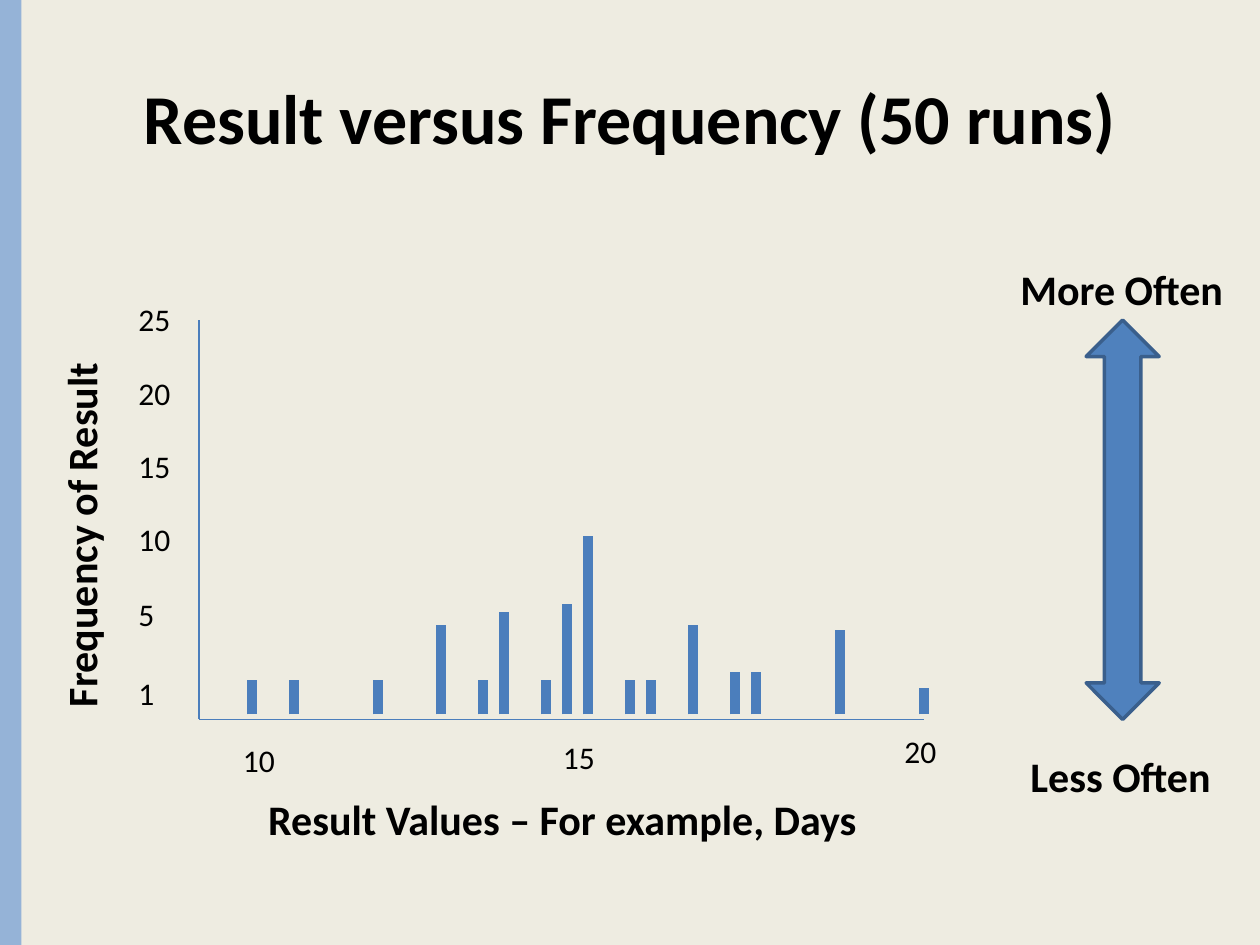
from pptx import Presentation
from pptx.dml.color import RGBColor
from pptx.enum import shapes, text
from pptx.oxml.ns import qn
from pptx.util import Inches, Pt
from lxml import etree

BACKGROUND = RGBColor(0xEE, 0xEC, 0xE1)
STRIPE = RGBColor(0x95, 0xB3, 0xD7)
BAR = RGBColor(0x4B, 0x7E, 0xBC)
ARROW = RGBColor(0x4F, 0x81, 0xBD)
ARROW_EDGE = RGBColor(0x3A, 0x5F, 0x8C)
BLACK = RGBColor(0, 0, 0)


def add_label(slide, words, left, top, width, height, size, bold=False):
    label = slide.shapes.add_textbox(Inches(left), Inches(top), Inches(width), Inches(height))
    label.text_frame.word_wrap = True
    label.text_frame.text = words
    font = label.text_frame.paragraphs[0].runs[0].font
    font.name, font.size, font.bold = "Calibri", Pt(size), bold
    font.color.rgb = BLACK
    return label


def add_line(slide, x1, y1, x2, y2, weight):
    line = slide.shapes.add_connector(
        shapes.MSO_CONNECTOR.STRAIGHT, Inches(x1), Inches(y1), Inches(x2), Inches(y2))
    line.line.color.rgb = BAR
    line.line.width = Pt(weight)
    etree.SubElement(line._element.spPr, qn("a:effectLst"))


prs = Presentation()
prs.slide_width, prs.slide_height = Inches(10), Inches(7.5)
slide = prs.slides.add_slide(prs.slide_layouts[5])
slide.background.fill.solid()
slide.background.fill.fore_color.rgb = BACKGROUND

# Stripe along the left edge
stripe = slide.shapes.add_shape(shapes.MSO_SHAPE.RECTANGLE, 0, 0, Inches(0.17), Inches(7.5))
stripe.shadow.inherit = False
stripe.fill.solid()
stripe.fill.fore_color.rgb = STRIPE
stripe.line.fill.background()

# Title
title = slide.shapes.title
title.left, title.top, title.width, title.height = Inches(0.5), Inches(0.3), Inches(9), Inches(1.25)
title.text_frame.text = "Result versus Frequency (50 runs)"
title.text_frame.vertical_anchor = text.MSO_ANCHOR.MIDDLE
heading = title.text_frame.paragraphs[0]
heading.alignment = text.PP_ALIGN.CENTER
heading_font = heading.runs[0].font
heading_font.name, heading_font.size, heading_font.bold = "Calibri", Pt(40), True
heading_font.color.rgb = BLACK

# Frequency bars: position in sixths of an inch, top of the bar
bar_base = 5.67
bar_tops = {12: 5.4, 14: 5.4, 18: 5.4, 21: 4.96, 23: 5.4, 24: 4.86, 26: 5.4, 27: 4.79,
            28: 4.25, 30: 5.4, 31: 5.4, 33: 4.96, 35: 5.33, 36: 5.33, 40: 5, 44: 5.46}
for sixths, top in bar_tops.items():
    add_line(slide, sixths / 6, bar_base, sixths / 6, top, 6)

# Axes
axis_left, axis_right, axis_top, axis_bottom = 1.58, 7.33, 2.54, 5.71
add_line(slide, axis_left, axis_top, axis_left, axis_bottom, 0.75)
add_line(slide, axis_right, axis_bottom, axis_left, axis_bottom, 0.75)

# Axis values
for value, left, top in (("10", 1.83, 5.83), ("15", 4.37, 5.81), ("20", 7.08, 5.76)):
    add_label(slide, value, left, top, 0.5, 0.4, 18)
for value, top in (("25", 2.33), ("20", 2.92), ("15", 3.5), ("10", 4.08), ("5", 4.67), ("1", 5.3)):
    add_label(slide, value, 1, top, 0.5, 0.4, 18)

# Axis titles
add_label(slide, "Result Values – For example, Days", 2.03, 6.25, 5.17, 0.5, 24, True)
frequency_title = add_label(slide, "Frequency of Result", -0.91, 3.91, 3.1, 0.5, 24, True)
frequency_title.rotation = 270

# Scale from less to more often
scale = slide.shapes.add_shape(
    shapes.MSO_SHAPE.UP_DOWN_ARROW, Inches(8.62), Inches(axis_top),
    Inches(0.58), Inches(axis_bottom - axis_top))
scale.shadow.inherit = False
scale.fill.solid()
scale.fill.fore_color.rgb = ARROW
scale.line.color.rgb = ARROW_EDGE
scale.line.width = Pt(2)
add_label(slide, "More Often", 8, 2.04, 1.83, 0.5, 24, True)
add_label(slide, "Less Often", 8.08, 5.91, 1.71, 0.5, 24, True)

prs.save("out.pptx")
